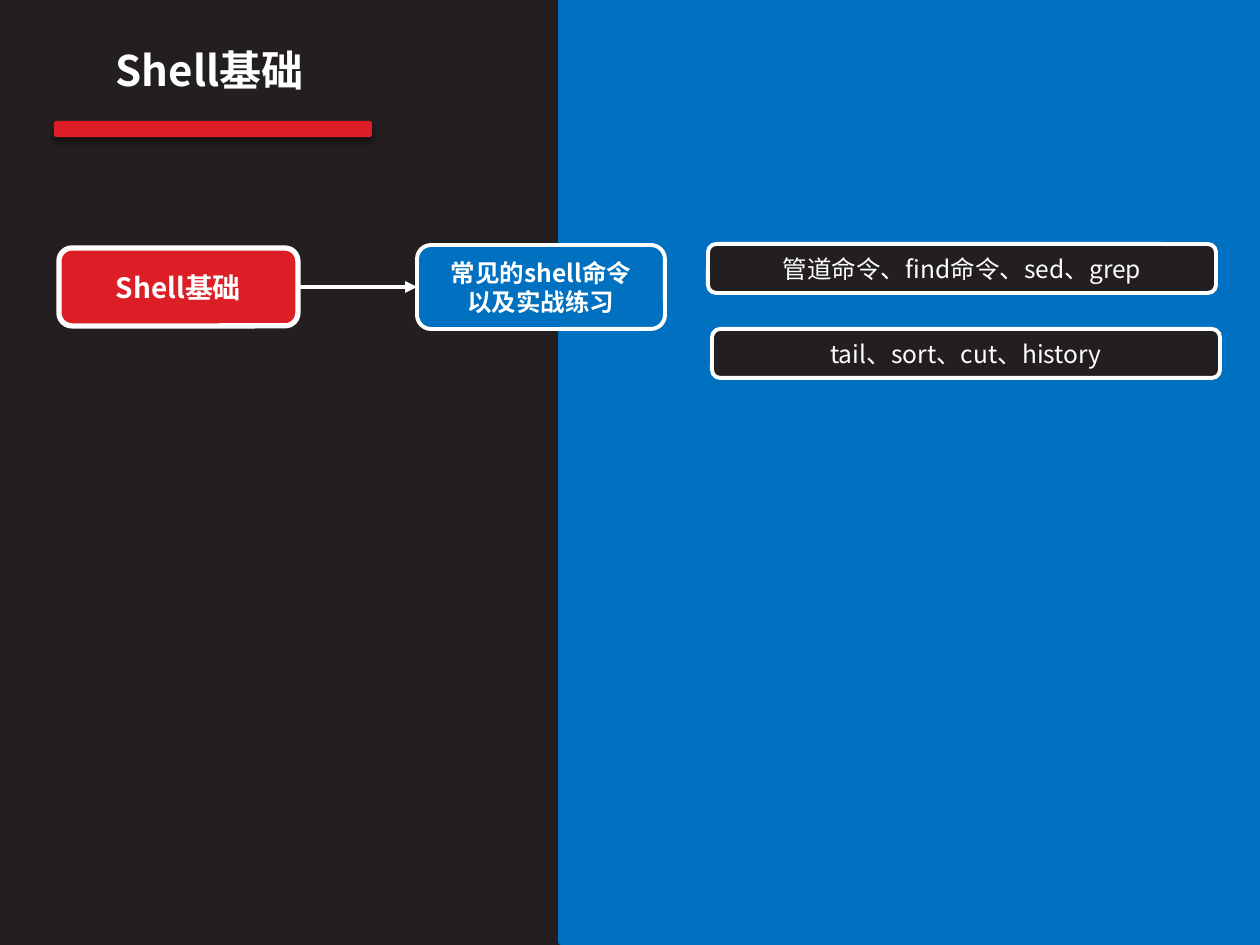
from lxml.etree import SubElement
from pptx import Presentation
from pptx.dml.color import RGBColor
from pptx.enum.shapes import MSO_CONNECTOR, MSO_SHAPE
from pptx.enum.text import MSO_ANCHOR, PP_ALIGN
from pptx.oxml.ns import qn
from pptx.util import Emu, Pt

COLORS = {"dark": "231F20", "blue": "0070C0", "red": "DC1F26", "white": "FFFFFF", "black": "000000"}
FONT = "Noto Sans CJK SC"
PX_PER_INCH = 126


def px(length):
    return Emu(round(length * 914400 / PX_PER_INCH))


def rgb(name):
    return RGBColor.from_string(COLORS[name])


class SlideBuilder:
    def __init__(self, slide):
        self.slide = slide

    def background(self, color):
        fill = self.slide.background.fill
        fill.solid()
        fill.fore_color.rgb = rgb(color)

    def label(self, frame, text, size, bold):
        frame.word_wrap = True
        frame.text = text
        for paragraph in frame.paragraphs:
            paragraph.alignment = PP_ALIGN.CENTER
            for run in paragraph.runs:
                run.font.size = Pt(size)
                run.font.bold = bold
                run.font.name = FONT
                run.font.color.rgb = rgb("white")
                SubElement(run._r.get_or_add_rPr(), qn("a:ea")).set("typeface", FONT)

    def block(self, box, fill, line=None, line_width=0, kind=MSO_SHAPE.ROUNDED_RECTANGLE):
        block = self.slide.shapes.add_shape(kind, *map(px, box))
        block.shadow.inherit = False
        block.fill.solid()
        block.fill.fore_color.rgb = rgb(fill)
        if line:
            block.line.color.rgb = rgb(line)
            block.line.width = Pt(line_width)
        else:
            block.line.fill.background()
        return block

    def node(self, box, text, fill, size=14, line_width=2.25, bold=False):
        node = self.block(box, fill, "white", line_width)
        node.text_frame.vertical_anchor = MSO_ANCHOR.MIDDLE
        self.label(node.text_frame, text, size, bold)
        return node

    def title(self, box, text):
        title = self.slide.shapes.add_textbox(*map(px, box))
        self.label(title.text_frame, text, 24, True)

    def underline(self, box):
        bar = self.block(box, "red")
        effects = bar._element.spPr.find(qn("a:effectLst"))
        shadow = SubElement(effects, qn("a:outerShdw"), blurRad=str(Pt(4)),
                            dist=str(Pt(3)), dir="5400000", rotWithShape="0")
        color = SubElement(shadow, qn("a:srgbClr"), val=COLORS["black"])
        SubElement(color, qn("a:alpha"), val="43000")

    def arrow(self, source, target):
        arrow = self.slide.shapes.add_connector(MSO_CONNECTOR.STRAIGHT, 0, 0, 0, 0)
        arrow.begin_connect(source, 3)
        arrow.end_connect(target, 1)
        arrow.line.color.rgb = rgb("white")
        arrow.line.width = Pt(2.25)
        properties = arrow._element.spPr
        SubElement(properties.find(qn("a:ln")), qn("a:tailEnd"), type="triangle")
        SubElement(properties, qn("a:effectLst"))


def main():
    deck = Presentation()
    deck.slide_width, deck.slide_height = px(1260), px(945)
    builder = SlideBuilder(deck.slides.add_slide(deck.slide_layouts[6]))

    builder.background("dark")
    builder.block((561, 0, 699, 942), "blue", "blue", 3, MSO_SHAPE.RECTANGLE)

    topic = builder.node((59, 248, 239, 78), "Shell基础", "red", 16, 3, True)
    practice = builder.node((417, 245, 248, 84), "常见的shell命令\n以及实战练习", "blue", bold=True)
    builder.arrow(topic, practice)

    builder.title((35, 38, 349, 89), "Shell基础")
    builder.underline((54, 121, 318, 16))

    command_groups = [
        (708, 244, "管道命令、find命令、sed、grep"),
        (712, 329, "tail、sort、cut、history"),
    ]
    for left, top, commands in command_groups:
        builder.node((left, top, 508, 49), commands, "dark")

    deck.save("out.pptx")


if __name__ == "__main__":
    main()
